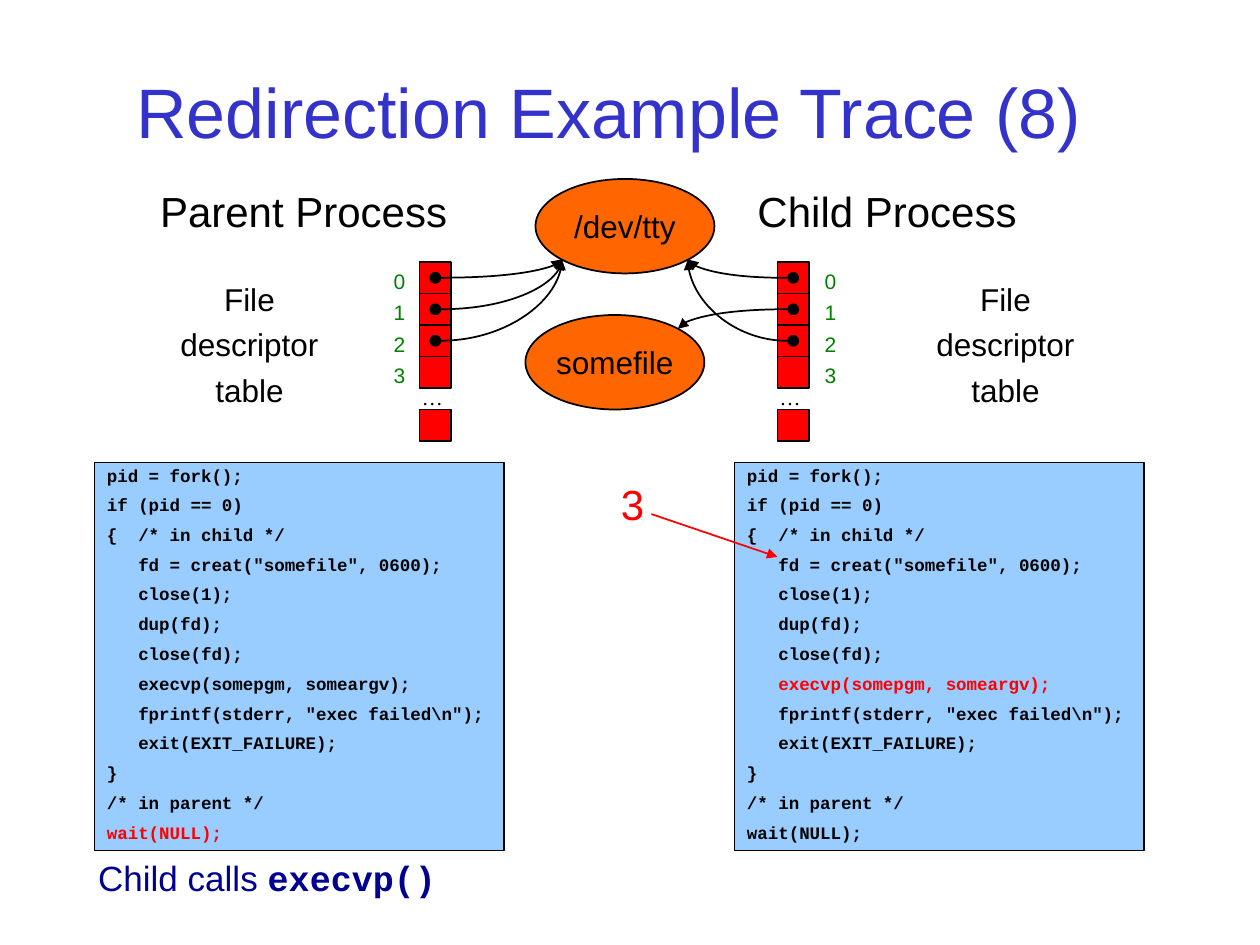
from dataclasses import dataclass

from lxml import etree
from pptx import Presentation
from pptx import util as u
from pptx.dml import color
from pptx.enum import shapes, text
from pptx.oxml import ns

BLACK, RED, ORANGE, BLUE = "000000", "FF0000", "FF6600", "99CCFF"
GREEN, NAVY, TITLE_BLUE = "008000", "000090", "3333CC"
CELL, DOT, TABLE_TOP = 0.25, 0.08, 2.08
LAST_CELL_TOP = 3.25
CODE = """pid = fork();
if (pid == 0)
{  /* in child */
   fd = creat("somefile", 0600);
   close(1);
   dup(fd);
   close(fd);
   execvp(somepgm, someargv);
   fprintf(stderr, "exec failed\\n");
   exit(EXIT_FAILURE);
}
/* in parent */
wait(NULL);""".split("\n")


@dataclass
class Process:
    """One process: its heading, descriptor table, arrows and code."""
    heading: str
    heading_left: float
    heading_width: float
    label_left: float
    table_left: float
    numbers_left: float
    arrow_left: float
    targets: list[tuple[float, float]]
    code_left: float
    current_line: str


PROCESSES = [
    Process("Parent Process", 1.16, 2.5, 1.33, 3.33, 3.0, 3.5,
            [(4.46, 2.06)] * 3, 0.75, "wait(NULL);"),
    Process("Child Process", 5.89, 2.3, 7.33, 6.17, 6.42, 6.25,
            [(5.46, 2.06), (5.38, 2.61), (5.46, 2.06)], 5.83,
            "   execvp(somepgm, someargv);"),
]


def rgb(value: str) -> color.RGBColor:
    """Turn a hex string into a colour."""
    return color.RGBColor.from_string(value)


def format_font(font, size: float, fill: str, name: str = "Arial", bold: bool = False) -> None:
    """Set the typeface, size, weight and colour of a font."""
    font.name, font.size, font.bold = name, u.Pt(size), bold
    font.color.rgb = rgb(fill)


def add_text(left: float, top: float, width: float, height: float, lines: list[str],
             size: float, fill: str = BLACK, name: str = "Arial", wrap: bool = False):
    """Add centred text, spaced by a quarter of its size, and return its frame."""
    box = slide.shapes.add_textbox(*map(u.Inches, (left, top, width, height)))
    frame = box.text_frame
    frame.word_wrap = wrap
    frame.auto_size = text.MSO_AUTO_SIZE.SHAPE_TO_FIT_TEXT
    frame.text = "\n".join(lines)
    for paragraph in frame.paragraphs:
        paragraph.alignment = text.PP_ALIGN.CENTER
        paragraph.space_before = u.Pt(size / 4)
        format_font(paragraph.font, size, fill, name)
    return frame


def add_shape(kind, left: float, top: float, width: float, height: float,
              fill: str, line_width: float = 1):
    """Add a filled shape with a black outline."""
    shape = slide.shapes.add_shape(kind, *map(u.Inches, (left, top, width, height)))
    shape.shadow.inherit = False
    shape.fill.solid()
    shape.fill.fore_color.rgb = rgb(fill)
    shape.line.color.rgb = rgb(BLACK)
    shape.line.width = u.Pt(line_width)
    return shape


def add_arrow(start: tuple[float, float], end: tuple[float, float],
              fill: str = BLACK, curved: bool = False) -> None:
    """Add a straight arrow, or one that bends from horizontal to vertical."""
    kind = shapes.MSO_CONNECTOR.CURVE if curved else shapes.MSO_CONNECTOR.STRAIGHT
    arrow = slide.shapes.add_connector(kind, *map(u.Inches, start + end))
    arrow.line.color.rgb = rgb(fill)
    arrow.line.width = u.Pt(1)
    properties = arrow._element.spPr
    etree.SubElement(arrow.line._get_or_add_ln(), ns.qn("a:tailEnd"), type="triangle")
    etree.SubElement(properties, ns.qn("a:effectLst"))
    if curved:
        properties.find(ns.qn("a:prstGeom")).set("prst", "curvedConnector2")
        if end[0] < start[0]:
            # A half turn replaces the horizontal flip.
            transform = properties.find(ns.qn("a:xfrm"))
            transform.set("rot", "10800000")
            transform.set("flipH", "0")
            transform.set("flipV", "1" if end[1] > start[1] else "0")


def add_file(name: str, left: float, top: float) -> None:
    """Add an ellipse that stands for an open file."""
    ellipse = add_shape(shapes.MSO_SHAPE.OVAL, left, top, 1.42, 0.75, ORANGE)
    frame = ellipse.text_frame
    frame.word_wrap = False
    frame.vertical_anchor = text.MSO_ANCHOR.MIDDLE
    frame.text = name
    paragraph = frame.paragraphs[0]
    paragraph.alignment = text.PP_ALIGN.CENTER
    paragraph.space_before = u.Pt(4.5)
    format_font(paragraph.font, 18, BLACK)


def add_descriptor_table(process: Process) -> None:
    """Add the numbered cells, the dots in use and the arrows to the files."""
    left = process.table_left
    for row in range(4):
        top = TABLE_TOP + row * CELL
        add_shape(shapes.MSO_SHAPE.RECTANGLE, left, top, CELL, CELL, RED)
        add_text(process.numbers_left, top, 0.34, 0.3, [str(row)], 12, GREEN, wrap=True)
    add_shape(shapes.MSO_SHAPE.RECTANGLE, left, LAST_CELL_TOP, CELL, CELL, RED)
    add_text(left - 0.08, 3, 0.36, 0.3, ["…"], 12, name="Times New Roman")
    for row, target in enumerate(process.targets):
        middle = TABLE_TOP + (row + 0.5) * CELL
        add_shape(shapes.MSO_SHAPE.OVAL, left + (CELL - DOT) / 2, middle - DOT / 2,
                  DOT, DOT, BLACK)
        add_arrow((process.arrow_left, middle), target, curved=True)


def add_code(process: Process) -> None:
    """Add the program, with the line being run in red."""
    box = add_shape(shapes.MSO_SHAPE.RECTANGLE, process.code_left, 3.67, 3.25, 3.08, BLUE, 0.75)
    frame = box.text_frame
    frame.word_wrap = True
    frame.vertical_anchor = text.MSO_ANCHOR.TOP
    frame.text = "\n".join(CODE)
    for index, paragraph in enumerate(frame.paragraphs):
        paragraph.alignment = text.PP_ALIGN.LEFT
        paragraph.line_spacing = 0.9 if index else 0.8
        paragraph.space_before = u.Pt(6.2)
        indent = u.Inches(0.24)
        paragraph._p.get_or_add_pPr().set("marL", str(indent))
        paragraph._p.get_or_add_pPr().set("indent", str(-indent))
        fill = RED if CODE[index] == process.current_line else BLACK
        format_font(paragraph.font, 10, fill, "Courier New", True)


presentation = Presentation()
presentation.slide_width, presentation.slide_height = u.Inches(10), u.Inches(7.5)
slide = presentation.slides.add_slide(presentation.slide_layouts[5])

title = slide.shapes.title
title.left, title.top, title.width, title.height = map(u.Inches, (0.58, 0.25, 8.5, 1.25))
title.text_frame.text = "Redirection Example Trace (8)"
title.text_frame.vertical_anchor = text.MSO_ANCHOR.MIDDLE
title.text_frame.paragraphs[0].alignment = text.PP_ALIGN.CENTER
format_font(title.text_frame.paragraphs[0].font, 40, TITLE_BLUE)

add_file("/dev/tty", 4.25, 1.42)
add_file("somefile", 4.17, 2.5)
for process in PROCESSES:
    add_text(process.heading_left, 1.42, process.heading_width, 0.5, [process.heading], 24)
    add_text(process.label_left, 2.17, 1.3, 1.13, ["File", "descriptor", "table"], 18)
    add_descriptor_table(process)
    add_code(process)

add_text(4.83, 3.75, 0.38, 0.5, ["3"], 24, RED)
add_arrow((5.17, 4.08), (6.17, 4.42), RED)

caption = add_text(0.68, 6.75, 2.88, 0.44, ["Child calls "], 20, NAVY).paragraphs[0]
call = caption.add_run()
call.text = "execvp()"
format_font(call.font, 20, NAVY, "Courier New", True)

presentation.save("out.pptx")
